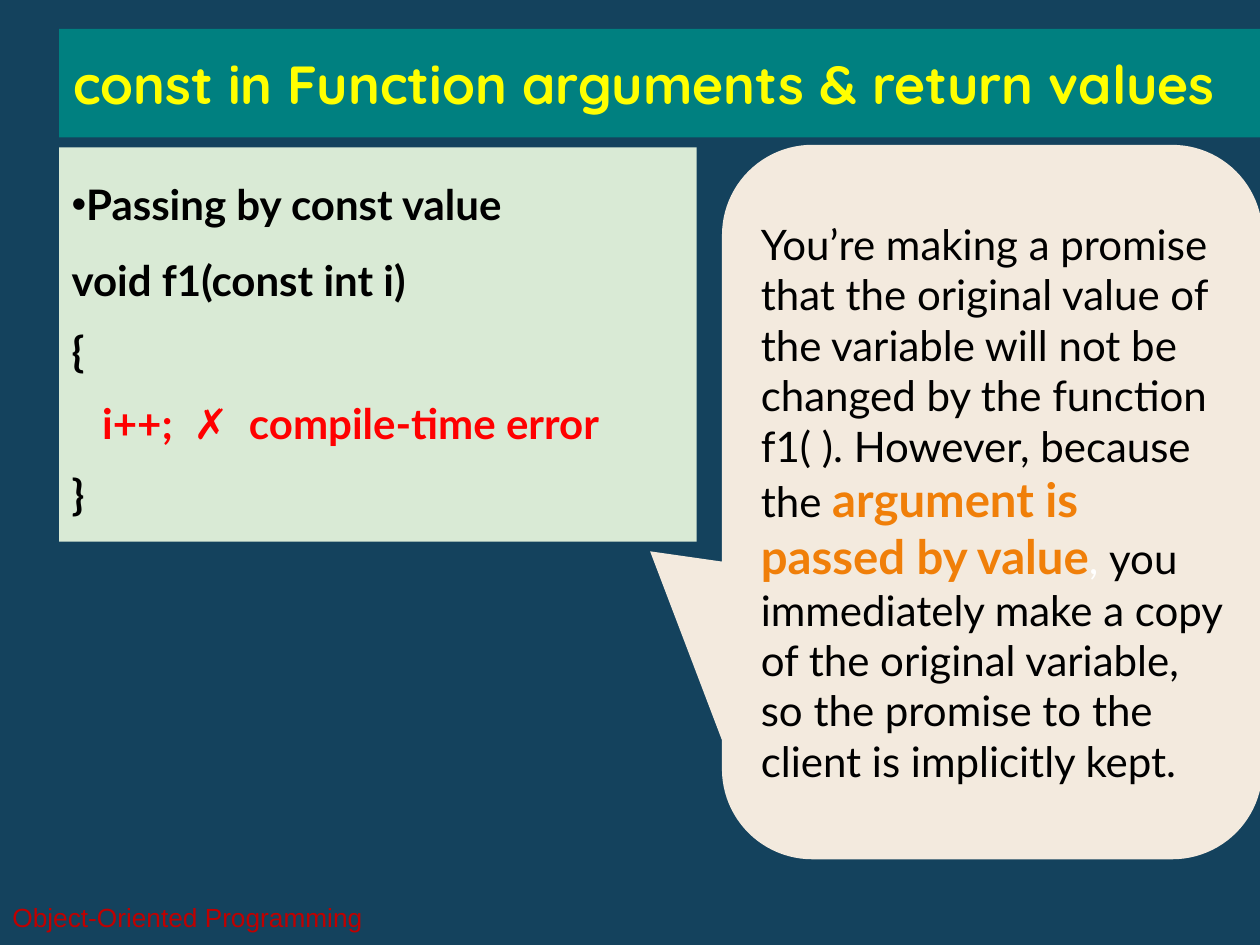
from lxml import etree
from pptx import Presentation
from pptx.dml.color import RGBColor
from pptx.enum.shapes import MSO_SHAPE as Shape
from pptx.enum.text import MSO_ANCHOR as Anchor, MSO_AUTO_SIZE as AutoSize, PP_ALIGN as Align
from pptx.oxml.ns import qn
from pptx.util import Inches, Pt


def color(value):
    return RGBColor.from_string(value)


def format_run(run, font_name, size, hex_color, bold=False):
    run.font.name = font_name
    run.font.size = Pt(size)
    run.font.bold = bold
    run.font.color.rgb = color(hex_color)


presentation = Presentation()
presentation.slide_width = Inches(10)
presentation.slide_height = Inches(7.5)
slide = presentation.slides.add_slide(presentation.slide_layouts[5])
slide.background.fill.solid()
slide.background.fill.fore_color.rgb = color("14425D")

# Title bar
title = slide.shapes.title
title.left, title.top = Inches(0.47), Inches(0.23)
title.width, title.height = Inches(9.8), Inches(0.86)
title.fill.solid()
title.fill.fore_color.rgb = color("008080")
title.text_frame.text = "const in Function arguments & return values"
title.text_frame.auto_size = AutoSize.NONE
title.text_frame.vertical_anchor = Anchor.MIDDLE
title.text_frame.margin_left = title.text_frame.margin_right = Inches(0.11)
paragraph = title.text_frame.paragraphs[0]
paragraph.alignment = Align.LEFT
format_run(paragraph.runs[0], "Quicksand", 30.6, "FFFF00", True)

# Footer
footer = slide.shapes.add_textbox(Inches(0), Inches(7.08), Inches(4.01), Inches(0.4))
footer.text_frame.word_wrap = True
footer.text_frame.vertical_anchor = Anchor.MIDDLE
footer.text_frame.text = "Object-Oriented Programming"
format_run(footer.text_frame.paragraphs[0].runs[0], "Arial", 15, "C00000")

# Code panel and callout
code_panel = slide.shapes.add_shape(
    Shape.RECTANGLE, Inches(0.47), Inches(1.17), Inches(5.06), Inches(3.13))
callout = slide.shapes.add_shape(
    Shape.ROUNDED_RECTANGULAR_CALLOUT, Inches(5.73), Inches(1.15), Inches(4.29), Inches(5.67))
for index, value in enumerate((-0.633, 0.069, 0.167)):
    callout.adjustments[index] = value

for shape, fill, anchor in ((code_panel, "D9EAD5", Anchor.TOP), (callout, "F3EADE", Anchor.MIDDLE)):
    shape.shadow.inherit = False
    shape.fill.solid()
    shape.fill.fore_color.rgb = color(fill)
    shape.line.fill.background()
    shape.text_frame.word_wrap = True
    shape.text_frame.vertical_anchor = anchor

# Code lines: text, colour, line spacing, space before
code_lines = [
    ("Passing by const value", "000000", 1.5, 0),
    ("void f1(const int i)", "000000", 1.5, 0),
    ("{", "000000", 1, 12),
    ("   i++;  ✗  compile-time error", "FF0000", 1, 12),
    ("}", "000000", 1, 12),
]
code_panel.text_frame.text = "\n".join(line[0] for line in code_lines)
for paragraph, (_, text_color, spacing, before) in zip(code_panel.text_frame.paragraphs, code_lines):
    paragraph.alignment = Align.LEFT
    paragraph.line_spacing = float(spacing)
    paragraph.space_before = Pt(before)
    format_run(paragraph.runs[0], "Lato", 24, text_color, True)

# Bullet on the first line
bullet_properties = code_panel.text_frame.paragraphs[0]._p.get_or_add_pPr()
etree.SubElement(bullet_properties, qn("a:buFont")).set("typeface", "Arial")
etree.SubElement(bullet_properties, qn("a:buChar")).set("char", "•")

# Callout text
callout_runs = [
    ("You’re making a promise that the original value of the variable will not be changed "
     "by the function f1( ). However, because the ", 24, "000000", False),
    ("argument is passed by value", 27, "F07F09", True),
    (", ", 24, "FFFFFF", False),
    ("you immediately make a copy of the original variable, so the promise to the client "
     "is implicitly kept.", 24, "000000", False),
]
paragraph = callout.text_frame.paragraphs[0]
paragraph.alignment = Align.LEFT
for text, size, text_color, bold in callout_runs:
    run = paragraph.add_run()
    run.text = text
    format_run(run, "Lato", size, text_color, bold)

presentation.save("out.pptx")
